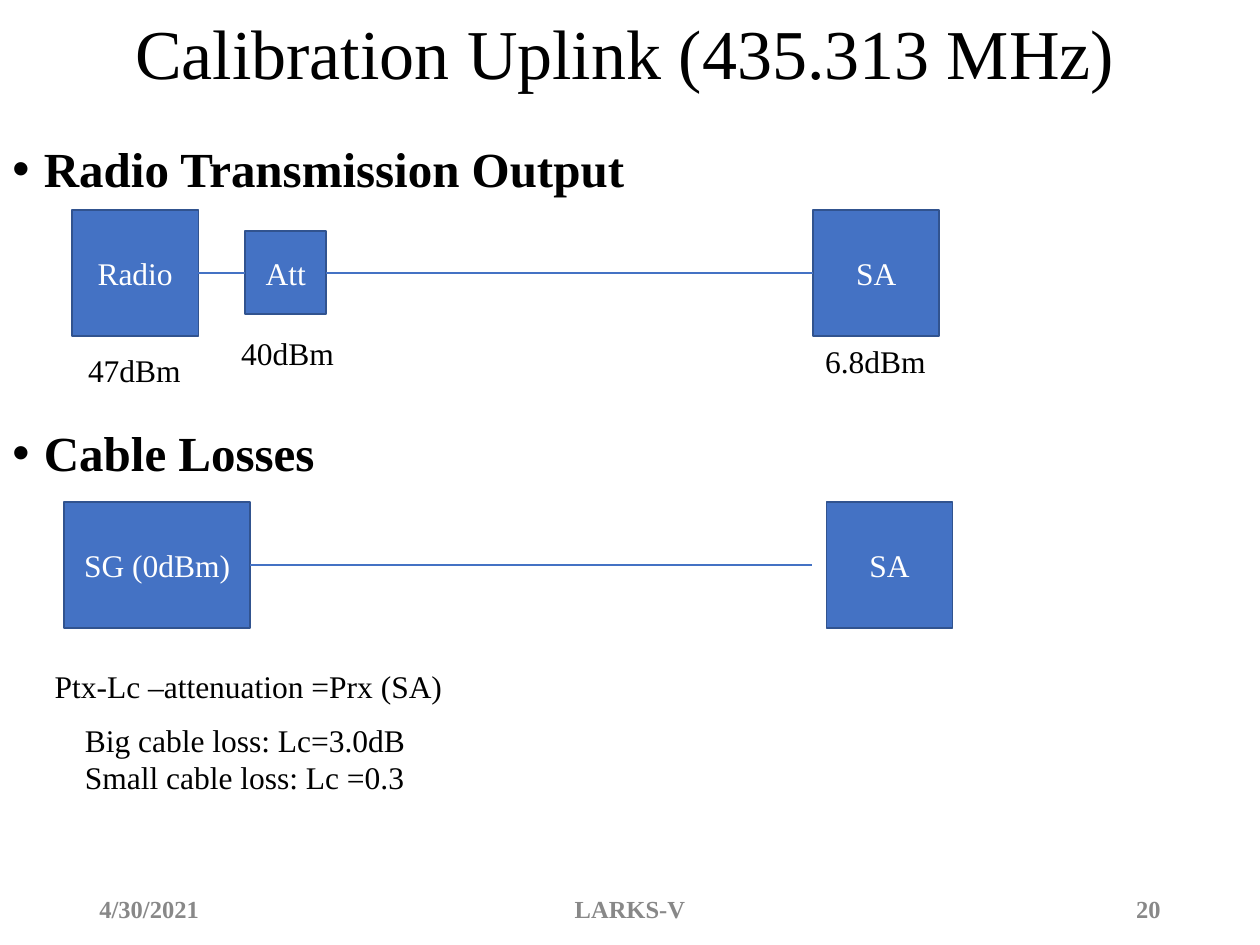
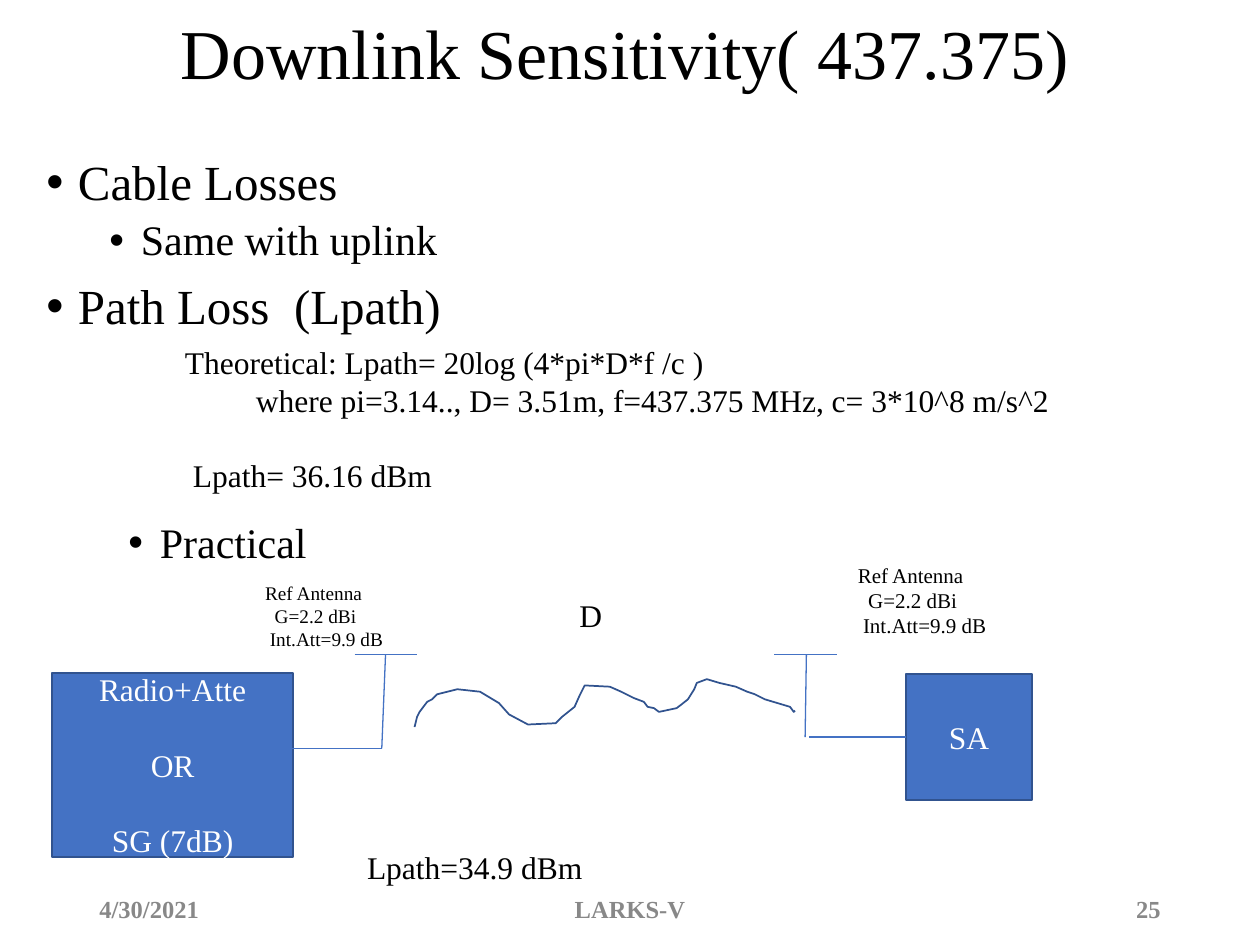
"""Builds two slides on radio link calibration: uplink output and downlink sensitivity."""
from dataclasses import dataclass
from itertools import pairwise

from lxml import etree
from pptx import Presentation
from pptx import util as u
from pptx.dml.color import RGBColor
from pptx.enum import shapes, text
from pptx.oxml import ns

COLUMNS, ROWS = 100, 75
WIDTH, HEIGHT = u.Inches(10), u.Inches(7.5)
TOP, LEFT, BOTTOM, RIGHT = range(4)
ALIGN = text.PP_ALIGN


@dataclass(frozen=True)
class Theme:
    """Colours and type sizes."""
    font: str = "Times New Roman"
    ink: str = "000000"
    muted: str = "888888"
    light: str = "FFFFFF"
    box: str = "4472C4"
    outline: str = "31538F"
    title: int = 40
    heading: int = 28
    subheading: int = 24
    body: int = 18
    footer: int = 14
    label: int = 12
    small_label: int = 11
    thin: float = 0.75
    outline_width: int = 1
    skipped_line: float = 21.5


@dataclass
class Line:
    """One paragraph; indents are in grid columns, gaps in points."""
    text: str
    size: int
    bold: bool = False
    colour: str = Theme.ink
    align: int = ALIGN.LEFT
    bullet: bool = False
    indent: float = 0
    before: float = 0
    spacing: float = 1


THEME = Theme()


def heading(words, bold=False, before=0):
    """Return a first-level bullet."""
    return Line(words, THEME.heading, bold, bullet=True, indent=2.5, before=before, spacing=0.9)


def subheading(words, before=5):
    """Return a second-level bullet."""
    return Line(words, THEME.subheading, bullet=True, indent=7.5, before=before, spacing=0.9)


def body(words, indent=0, before=0):
    """Return a plain body line."""
    return Line(words, THEME.body, indent=indent, before=before)


def antenna_label(size):
    """Return the antenna data, each line stepped in by a share of its size."""
    lines = ("Ref Antenna", 0), ("G=2.2 dBi", 2), ("Int.Att=9.9 dB", 1)
    return [Line(words, size, indent=steps * size / 29) for words, steps in lines]


FOOTERS = [(6.9, 22.5, ALIGN.LEFT), (33.1, 33.8, ALIGN.CENTER), (70.6, 22.5, ALIGN.RIGHT)]
FOOTER_TEXTS = ["4/30/2021", "LARKS-V"]

UPLINK = {
    "title": "Calibration Uplink (435.313 MHz)",
    "number": "20",
    "texts": [
        (0, 11, 93.8, 53, [heading("Radio Transmission Output", True),
                           heading("Cable Losses", True, 132.2)]),
        (6, 27.35, 9.5, 4, [body("47dBm")]),
        (18.15, 26, 9.5, 4, [body("40dBm")]),
        (64.5, 26.65, 10.1, 4, [body("6.8dBm")]),
        (5.75, 56.7, 27.7, 7.1, [body("Big cable loss: Lc=3.0dB"),
                                 body("Small cable loss: Lc =0.3")]),
        (3.35, 52.45, 33.1, 4, [body("Ptx-Lc –attenuation =Prx (SA)")]),
    ],
}
OUTPUT_AXIS, LOSS_AXIS = 21.66, 44.85
OUTPUT_CHAIN = [("Radio", 5.7, 10.05, 10), ("Att", 19.45, 6.45, 6.6), ("SA", 64.55, 10, 10)]
LOSS_CHAIN = [("SG (0dBm)", 5.1, 14.75, 10), ("SA", 65.6, 10, 10)]
LOSS_CABLE_END = 64.45

DOWNLINK = {
    "title": "Downlink Sensitivity( 437.375)",
    "number": "25",
    "texts": [
        (2.7, 12.05, 93.8, 53, [heading("Cable Losses"), subheading("Same with uplink"),
                                heading("Path Loss  (Lpath)", before=10)]),
        (13.7, 26.75, 80, 13.1, [
            body("Theoretical: Lpath= 20log (4*pi*D*f /c )"),
            body("where pi=3.14.., D= 3.51m, f=437.375 MHz, c= 3*10^8 m/s^2", 5.63),
            body("Lpath= 36.16 dBm", 0.63, THEME.skipped_line)]),
        (4.2, 40.95, 93.8, 27, [subheading("Practical", 0)]),
        (45, 46.8, 5, 4, [body("D")]),
        (28.15, 66.8, 19.6, 4, [body("Lpath=34.9 dBm")]),
        (20.05, 45.65, 12.5, 6.6, antenna_label(THEME.small_label)),
        (67.1, 44.15, 13, 7.1, antenna_label(THEME.label)),
    ],
}
TRANSMITTER = (["Radio+Atte", "OR", "SG (7dB)"], 4.15, 53.4, 19.1, 14.6)
RECEIVER = (["SA"], 71.9, 53.5, 10, 10)
BAR_ROW = 51.93
ANTENNAS = [((28.15, 33.1), 30.6, (30.3, 59.4)), ((61.45, 66.4), 64, (63.9, 58.5))]
FEEDER_STARTS = (22.8, 59.4), (64.2, 58.5)
WAVE = [
    (32.9, 57.7), (33.1, 56.9), (33.3, 56.5), (33.9, 55.7), (34.3, 55.5), (34.7, 55.1),
    (36.3, 54.7), (38.1, 54.9), (39.6, 55.8), (40.4, 56.7), (41.9, 57.5), (44.1, 57.4),
    (44.6, 56.9), (45.6, 56.1), (46, 55.2), (46.4, 54.4), (48.4, 54.5), (49.3, 54.9),
    (49.7, 55.1), (50.3, 55.4), (51.1, 55.7), (51.4, 56.1), (51.9, 56.2), (52.3, 56.5),
    (53.7, 56.2), (54.1, 55.9), (54.6, 55.5), (55.1, 54.7), (55.3, 54.2), (56.1, 53.9),
    (57.1, 54.2), (58.4, 54.5), (59.3, 54.9), (59.9, 55.1), (60.7, 55.5), (62.7, 56.1),
    (63, 56.5), (63.1, 56.4),
]


def across(columns):
    """Turn grid columns into a length."""
    return round(WIDTH * columns / COLUMNS)


def down(rows):
    """Turn grid rows into a length."""
    return round(HEIGHT * rows / ROWS)


def place(point):
    """Turn a grid point into a slide position."""
    return across(point[0]), down(point[1])


def colour(value):
    return RGBColor.from_string(value)


def write(shape, lines, anchor):
    """Fill a shape with paragraphs."""
    frame = shape.text_frame
    frame.word_wrap = True
    frame.vertical_anchor = anchor
    for index, line in enumerate(lines):
        paragraph = frame.paragraphs[0] if index == 0 else frame.add_paragraph()
        paragraph.alignment = line.align
        paragraph.line_spacing = line.spacing
        paragraph.space_before = u.Pt(line.before)
        properties = paragraph._p.get_or_add_pPr()
        properties.set("marL", str(across(line.indent)))
        if line.bullet:
            properties.set("indent", str(-across(2.5)))
            etree.SubElement(properties, ns.qn("a:buFont"), typeface="Arial")
            etree.SubElement(properties, ns.qn("a:buChar"), char="•")
        run = paragraph.add_run()
        run.text = line.text
        run.font.name = THEME.font
        run.font.size = u.Pt(line.size)
        run.font.bold = line.bold
        run.font.color.rgb = colour(line.colour)


def add_text(slide, left, top, width, height, lines, anchor=text.MSO_ANCHOR.TOP):
    """Add a text box on the grid."""
    shape = slide.shapes.add_textbox(*place((left, top)), *place((width, height)))
    write(shape, lines, anchor)


def add_outline(shape):
    shape.shadow.inherit = False
    shape.line.color.rgb = colour(THEME.outline)
    shape.line.width = u.Pt(THEME.outline_width)


def add_box(slide, words, left, top, width, height):
    """Add an equipment box, its labels one skipped line apart."""
    shape = slide.shapes.add_shape(
        shapes.MSO_SHAPE.RECTANGLE, *place((left, top)), *place((width, height)))
    shape.fill.solid()
    shape.fill.fore_color.rgb = colour(THEME.box)
    add_outline(shape)
    lines = [Line(word, THEME.body, colour=THEME.light, align=ALIGN.CENTER,
                  before=THEME.skipped_line if index else 0)
             for index, word in enumerate(words)]
    write(shape, lines, text.MSO_ANCHOR.MIDDLE)
    return shape


def add_line(slide, start=(0, 0), end=(0, 0), source=None, target=None):
    """Add a cable, joined to the source's right and the target's left side."""
    cable = slide.shapes.add_connector(
        shapes.MSO_CONNECTOR.STRAIGHT, *place(start), *place(end))
    if source is not None:
        cable.begin_connect(source, RIGHT)
    if target is not None:
        cable.end_connect(target, LEFT)
    cable.line.color.rgb = colour(THEME.box)
    cable.line.width = u.Pt(THEME.thin)
    etree.SubElement(cable._element.spPr, ns.qn("a:effectLst"))


def add_chain(slide, axis, chain):
    """Add boxes centred on one row."""
    return [add_box(slide, [name], left, axis - height / 2, width, height)
            for name, left, width, height in chain]


def add_wave(slide):
    """Add the radio wave between the antennas."""
    start, *rest = map(place, WAVE)
    builder = slide.shapes.build_freeform(*start)
    builder.add_line_segments(rest, close=False)
    wave = builder.convert_to_shape()
    wave.fill.background()
    add_outline(wave)


def add_page(presentation, content):
    """Add a slide with its title, texts and footer."""
    slide = presentation.slides.add_slide(presentation.slide_layouts[6])
    middle = text.MSO_ANCHOR.MIDDLE
    title = Line(content["title"], THEME.title, align=ALIGN.CENTER, spacing=0.9)
    add_text(slide, 2.7, 0, 93.75, 9, [title], middle)
    for (left, width, align), words in zip(FOOTERS, [*FOOTER_TEXTS, content["number"]]):
        line = Line(words, THEME.footer, True, THEME.muted, align)
        add_text(slide, left, 70.1, width, 4, [line], middle)
    for item in content["texts"]:
        add_text(slide, *item)
    return slide


def draw_uplink(slide):
    for source, target in pairwise(add_chain(slide, OUTPUT_AXIS, OUTPUT_CHAIN)):
        add_line(slide, source=source, target=target)
    generator, _ = add_chain(slide, LOSS_AXIS, LOSS_CHAIN)
    add_line(slide, end=(LOSS_CABLE_END, LOSS_AXIS), source=generator)


def draw_downlink(slide):
    add_box(slide, *TRANSMITTER)
    receiver = add_box(slide, *RECEIVER)
    for (bar_left, bar_right), mast_top, foot in ANTENNAS:
        add_line(slide, (bar_left, BAR_ROW), (bar_right, BAR_ROW))
        add_line(slide, foot, (mast_top, BAR_ROW))
    sending, receiving = FEEDER_STARTS
    add_line(slide, sending, ANTENNAS[0][2])
    add_line(slide, receiving, target=receiver)
    add_wave(slide)


def main():
    presentation = Presentation()
    presentation.slide_width, presentation.slide_height = WIDTH, HEIGHT
    draw_uplink(add_page(presentation, UPLINK))
    draw_downlink(add_page(presentation, DOWNLINK))
    presentation.save("out.pptx")


if __name__ == "__main__":
    main()
